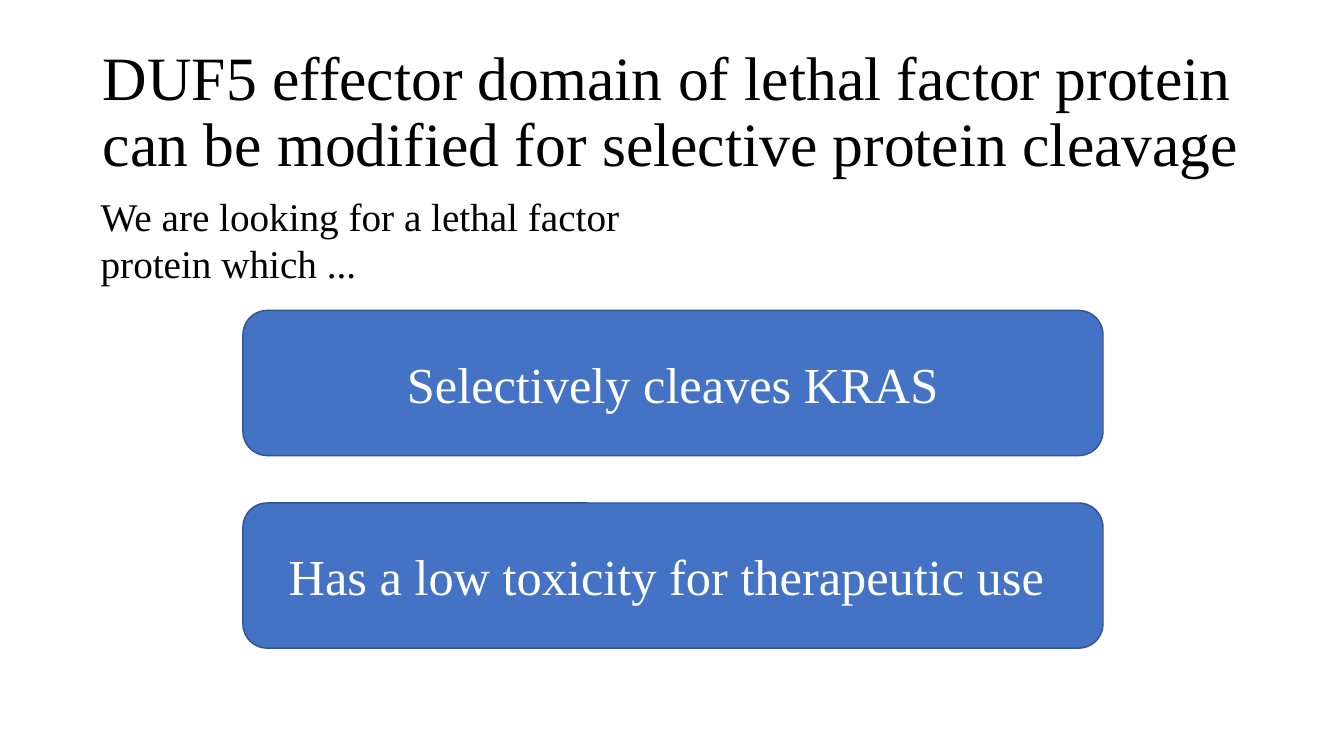
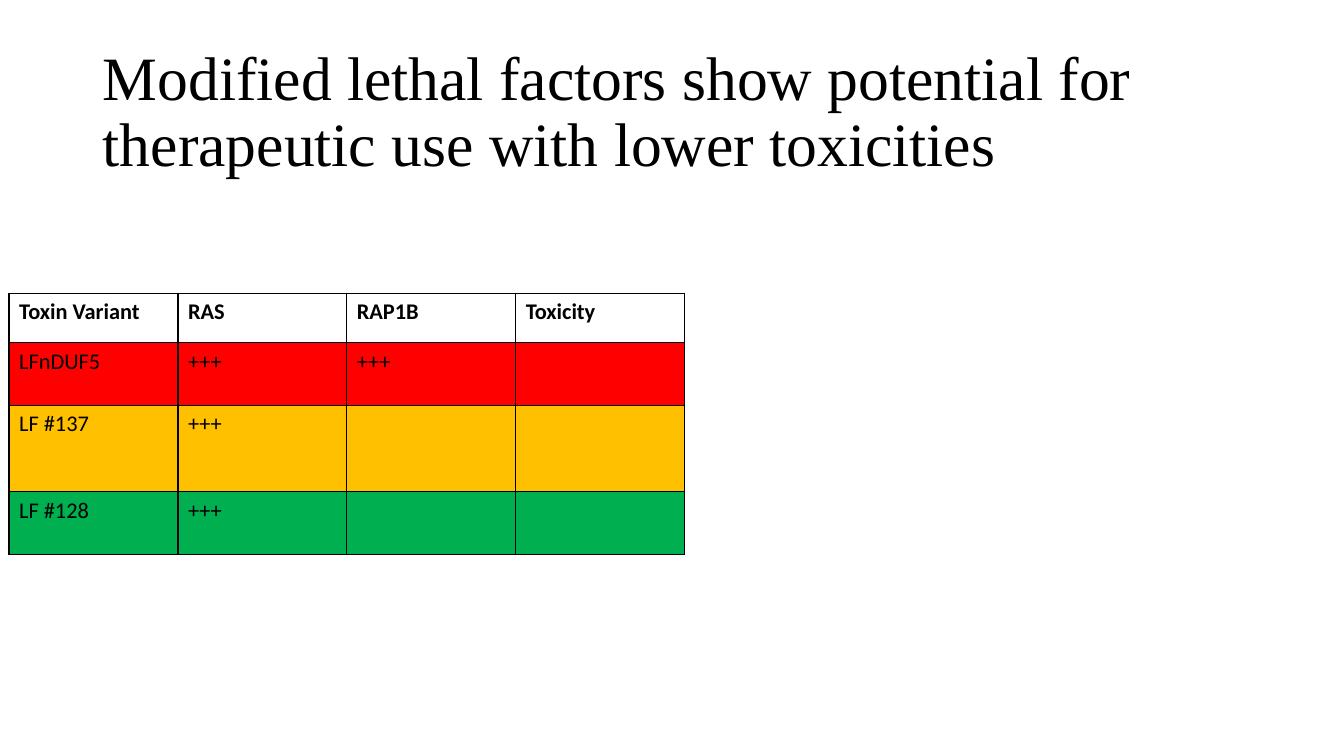
from dataclasses import dataclass

from lxml.etree import SubElement
from pptx import Presentation
from pptx.dml.color import RGBColor as RGB
from pptx.enum.shapes import MSO_SHAPE as Preset
from pptx.enum.text import MSO_ANCHOR as Anchor, MSO_AUTO_SIZE as AutoSize, PP_ALIGN as Align
from pptx.oxml.ns import qn
from pptx.util import Inches, Pt


@dataclass(frozen=True)
class Theme:
    text_face: str = "Times New Roman"
    table_face: str = "Calibri"
    black: RGB = RGB(0, 0, 0)
    white: RGB = RGB(255, 255, 255)
    blue: RGB = RGB.from_string("4472C4")
    blue_edge: RGB = RGB.from_string("325491")
    red: RGB = RGB.from_string("FF0000")
    amber: RGB = RGB.from_string("FFC000")
    green: RGB = RGB.from_string("00B050")
    title_size: int = 44
    goal_size: int = 36
    lead_size: int = 28
    table_size: int = 16


THEME = Theme()
TITLE_BOX = (0.92, 0.4, 11.5, 1.45)
TITLE_ONLY = 5


def style(paragraph, size, color, face=THEME.text_face, bold=False, align=Align.LEFT):
    font = paragraph.font
    font.name, font.size, font.bold = face, Pt(size), bold
    font.color.rgb = color
    paragraph.alignment = align


def add_titled_slide(deck, heading):
    slide = deck.slides.add_slide(deck.slide_layouts[TITLE_ONLY])
    title = slide.shapes.title
    title.left, title.top, title.width, title.height = map(Inches, TITLE_BOX)
    frame = title.text_frame
    frame.text = heading
    frame.word_wrap = True
    frame.auto_size = AutoSize.NONE
    frame.vertical_anchor = Anchor.MIDDLE
    style(frame.paragraphs[0], THEME.title_size, THEME.black)
    frame.paragraphs[0].line_spacing = 0.9
    return slide


def add_lead_in(slide, box, wording):
    frame = slide.shapes.add_textbox(*map(Inches, box)).text_frame
    frame.text = wording
    frame.word_wrap = True
    frame.auto_size = AutoSize.SHAPE_TO_FIT_TEXT
    style(frame.paragraphs[0], THEME.lead_size, THEME.black)


def add_goals(slide, box, goals, gap):
    """Stack one rounded panel per goal, evenly spaced to fill the box."""
    left, top, width, height = box
    panel_height = (height - gap * (len(goals) - 1)) / len(goals)
    for index, goal in enumerate(goals):
        panel_top = top + index * (panel_height + gap)
        panel = slide.shapes.add_shape(
            Preset.ROUNDED_RECTANGLE,
            *map(Inches, (left, panel_top, width, panel_height)))
        panel.shadow.inherit = False
        panel.fill.solid()
        panel.fill.fore_color.rgb = THEME.blue
        panel.line.color.rgb = THEME.blue_edge
        panel.line.width = Pt(1)
        frame = panel.text_frame
        frame.text = goal
        frame.word_wrap = True
        frame.vertical_anchor = Anchor.MIDDLE
        style(frame.paragraphs[0], THEME.goal_size, THEME.white, align=Align.CENTER)


def outline_cell(cell, color):
    properties = cell._tc.get_or_add_tcPr()
    for index, side in enumerate(("lnL", "lnR", "lnT", "lnB")):
        edge = properties.makeelement(qn(f"a:{side}"), {"w": str(Pt(1))})
        fill = SubElement(edge, qn("a:solidFill"))
        SubElement(fill, qn("a:srgbClr"), val=str(color))
        properties.insert(index, edge)


def add_variant_table(slide, box, rows):
    """Draw rows given as (height, fill or None, texts); the first is the header."""
    column_count = len(rows[0][2])
    table = slide.shapes.add_table(len(rows), column_count, *map(Inches, box)).table
    table.first_row = table.horz_banding = False
    for column in table.columns:
        column.width = Inches(box[2] / column_count)
    for row_index, (height, fill, texts) in enumerate(rows):
        table.rows[row_index].height = Inches(height)
        for column_index, text in enumerate(texts):
            cell = table.cell(row_index, column_index)
            cell.text = text
            if fill is None:
                cell.fill.background()
            else:
                cell.fill.solid()
                cell.fill.fore_color.rgb = fill
            style(cell.text_frame.paragraphs[0], THEME.table_size, THEME.black,
                  face=THEME.table_face, bold=row_index == 0)
            outline_cell(cell, THEME.black)


def build_goals_slide(deck):
    slide = add_titled_slide(
        deck, "DUF5 effector domain of lethal factor protein can be modified "
              "for selective protein cleavage")
    goals = ("Selectively cleaves KRAS", "Has a low toxicity for therapeutic use ")
    add_goals(slide, (2.41, 3.08, 8.53, 3.35), goals, gap=0.47)
    add_lead_in(slide, (0.9, 1.86, 6.22, 1.04),
                "We are looking for a lethal factor protein which ...")


def build_results_slide(deck):
    slide = add_titled_slide(
        deck, "Modified lethal factors show potential for therapeutic use "
              "with lower toxicities")
    rows = (
        (0.49, None, ("Toxin Variant", "RAS", "RAP1B", "Toxicity")),
        (0.62, THEME.red, ("LFnDUF5", "+++", "+++", "")),
        (0.86, THEME.amber, ("LF #137", "+++", "", "")),
        (0.62, THEME.green, ("LF #128", "+++", "", "")),
    )
    add_variant_table(slide, (0.09, 2.91, 6.7, 2.59), rows)


def main():
    deck = Presentation()
    deck.slide_width, deck.slide_height = Inches(13.33), Inches(7.5)
    build_goals_slide(deck)
    build_results_slide(deck)
    deck.save("out.pptx")


if __name__ == "__main__":
    main()
